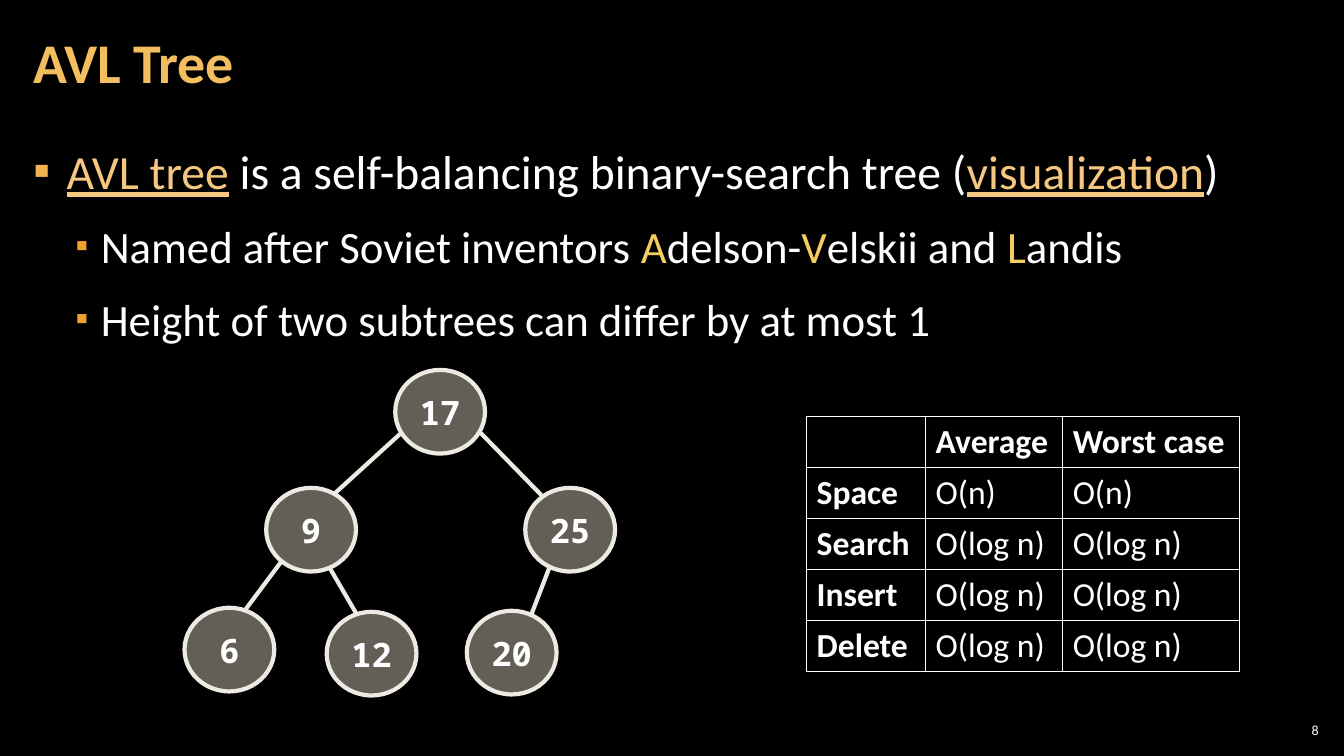
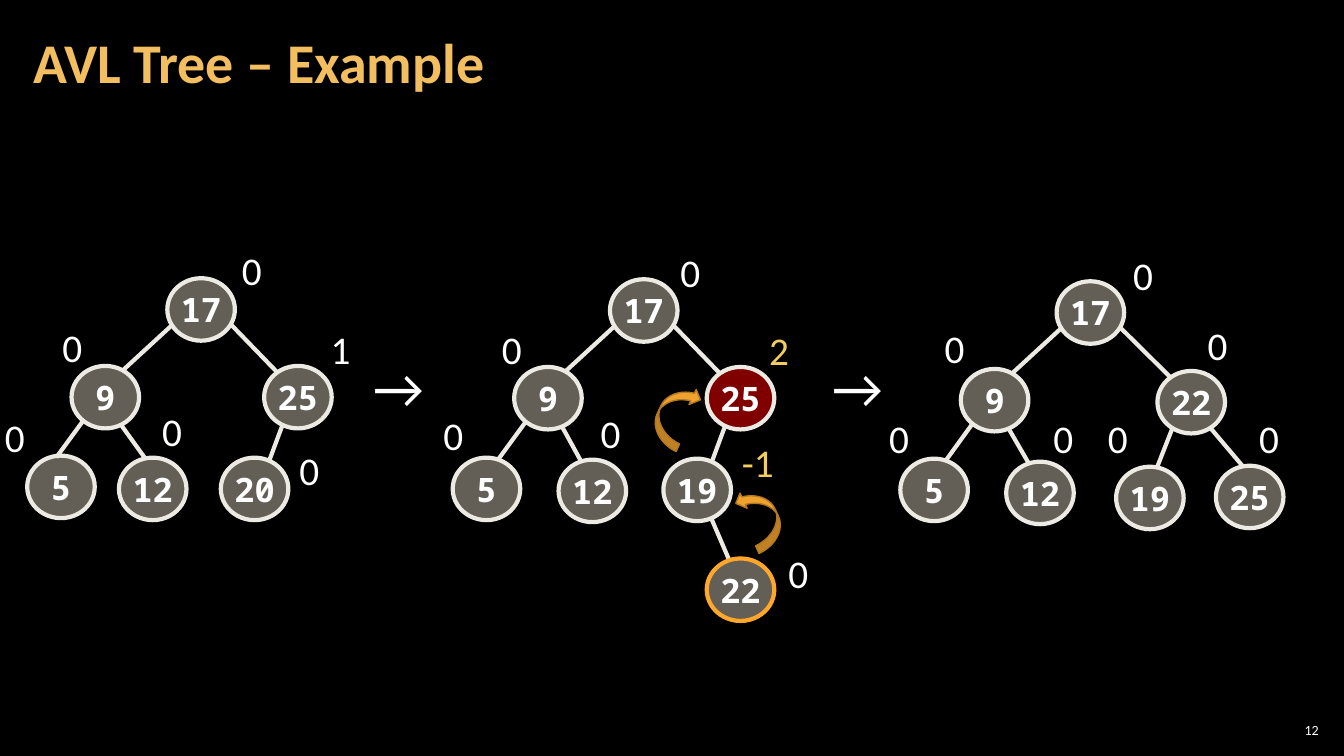
"""Build two slides that explain AVL trees and show a rebalancing example."""
from dataclasses import dataclass

from lxml import etree
from pptx import Presentation
from pptx.dml.color import RGBColor
from pptx.enum.shapes import MSO_CONNECTOR as Connector, MSO_SHAPE as Shape
from pptx.enum.text import MSO_ANCHOR as Anchor, MSO_AUTO_SIZE as AutoSize, PP_ALIGN as Align
from pptx.oxml.ns import qn
from pptx.util import Inches, Pt


@dataclass(frozen=True)
class Theme:
    background: str = "000000"
    text: str = "FFFFFF"
    title: str = "F3BE60"
    link: str = "F6C781"
    accent: str = "F3CD60"
    bullet: str = "F2B254"
    sub_bullet: str = "F0A22E"
    node: str = "C7BFAC"
    edge: str = "ECEAE3"
    unbalanced: str = "FF0000"
    inserted: str = "FFA72A"
    turn: str = "F0A22E"
    turn_line: str = "B27822"
    font: str = "Calibri"
    mono: str = "Noto Sans Mono"
    title_size: int = 40
    body_size: int = 34
    sub_size: int = 32
    label_size: int = 28
    node_size: int = 24
    table_size: int = 24
    number_size: int = 10
    edge_width: int = 3


THEME = Theme()

BODY = [
    (0, [("AVL tree", "link"), (" is a self-balancing binary-search tree (", "text"),
         ("visualization", "link"), (")", "text")]),
    (1, [("Named after Soviet inventors ", "text"), ("A", "accent"), ("delson-", "text"),
         ("V", "accent"), ("elskii and ", "text"), ("L", "accent"), ("andis", "text")]),
    (1, [("Height of two subtrees can differ by at most 1", "text")]),
]
BULLET_LEVELS = [
    dict(left=0.33, hang=0.33, size=THEME.body_size, color=THEME.bullet, percent=100),
    dict(left=0.67, hang=0.25, size=THEME.sub_size, color=THEME.sub_bullet, percent=80),
]

COSTS = [
    ("", "Average", "Worst case"),
    ("Space", "O(n)", "O(n)"),
    ("Search", "O(log n)", "O(log n)"),
    ("Insert", "O(log n)", "O(log n)"),
    ("Delete", "O(log n)", "O(log n)"),
]
COST_COLUMNS = (1.18, 1.36, 1.75)
COST_ROW = 0.5

# Edge ends are fractions of the node size, measured from the node centres.
JOINS = {
    "wide left": ((-0.43, 0.25), (0.25, -0.42)),
    "wide right": ((0.44, 0.24), (-0.3, -0.39)),
    "left": ((-0.33, 0.38), (0.18, -0.48)),
    "right": ((0.21, 0.46), (-0.17, -0.48)),
    "inner": ((-0.23, 0.45), (0.21, -0.43)),
    "near left": ((-0.33, 0.38), (-0.07, -0.47)),
    "near right": ((0.23, 0.44), (-0.1, -0.47)),
    "steep left": ((-0.28, 0.42), (0.11, -0.5)),
    "steep right": ((0.29, 0.42), (-0.11, -0.5)),
}
TOP_EDGES = [("17", "9", "wide left")]

OVERVIEW_TREE = dict(
    node=(0.89, 0.83),
    places={"17": (3.92, 3.67), "25": (5.21, 4.84), "9": (2.64, 4.84),
            "6": (1.83, 6.03), "12": (3.24, 6.07), "20": (4.63, 6.06)},
    edges=TOP_EDGES + [("17", "25", "wide right"), ("9", "6", "left"),
                       ("9", "12", "right"), ("25", "20", "inner")],
)
SMALL_NODE = (0.67, 0.62)
EXAMPLE_TREES = [
    dict(
        node=SMALL_NODE,
        places={"17": (1.66, 2.76), "25": (2.62, 3.63), "9": (0.71, 3.63),
                "5": (0.27, 4.52), "12": (1.18, 4.54), "20": (2.19, 4.54)},
        edges=TOP_EDGES + [("17", "25", "wide right"), ("9", "5", "near left"),
                           ("9", "12", "near right"), ("25", "20", "inner")],
        balances=[("0", 2.3, 2.39), ("0", 0.52, 3.16), ("1", 3.18, 3.18),
                  ("0", -0.05, 4.05), ("0", 1.51, 3.99), ("0", 2.87, 4.38)],
    ),
    dict(
        node=SMALL_NODE,
        places={"17": (6.05, 2.77), "25": (7.01, 3.64), "9": (5.1, 3.64), "5": (4.49, 4.54),
                "12": (5.54, 4.56), "19": (6.58, 4.55), "22": (7.01, 5.54)},
        edges=TOP_EDGES + [("17", "25", "wide right"), ("9", "5", "left"), ("9", "12", "right"),
                           ("25", "19", "inner"), ("19", "22", "right")],
        fills={"25": THEME.unbalanced},
        outlines={"22": THEME.inserted},
        turns=[(Shape.CURVED_UP_ARROW, 7.23, 4.97, 0.63, 245),
               (Shape.CURVED_DOWN_ARROW, 6.37, 3.95, 0.65, 295.3)],
        balances=[("0", 6.65, 2.41), ("0", 4.88, 3.18), ("2", 7.53, 3.19), ("0", 4.3, 4.03),
                  ("0", 5.86, 4.01), ("-1", 7.26, 4.3), ("0", 7.72, 5.4)],
    ),
    dict(
        node=SMALL_NODE,
        places={"17": (10.48, 2.79), "22": (11.48, 3.68), "9": (9.53, 3.66), "5": (8.93, 4.55),
                "12": (9.98, 4.58), "19": (11.07, 4.63), "25": (12.06, 4.62)},
        edges=TOP_EDGES + [("17", "22", "wide right"), ("9", "5", "left"), ("9", "12", "right"),
                           ("22", "19", "steep left"), ("22", "25", "steep right")],
        balances=[("0", 11.14, 2.44), ("0", 9.27, 3.17), ("0", 11.88, 3.14), ("0", 8.72, 4.06),
                  ("0", 10.35, 4.06), ("0", 10.89, 4.06), ("0", 12.39, 4.06)],
    ),
]
STEP_ARROWS = (3.61, 8.16)


def rgb(value):
    return RGBColor.from_string(value)


def add_child(parent, tag, **attributes):
    return etree.SubElement(parent, qn(tag), attributes)


def box(*lengths):
    return [Inches(length) for length in lengths]


def add_run(paragraph, text, size, color=THEME.text, bold=False, font=THEME.font, underline=False):
    run = paragraph.add_run()
    run.text = text
    run.font.size, run.font.name = Pt(size), font
    run.font.bold, run.font.underline = bold, underline
    run.font.color.rgb = rgb(color)


def place(shape, left, top, width, height):
    shape.left, shape.top, shape.width, shape.height = box(left, top, width, height)


def set_frame(frame, side, edge, anchor):
    frame.word_wrap, frame.auto_size = True, AutoSize.NONE
    frame.vertical_anchor = anchor
    frame.margin_left = frame.margin_right = Inches(side)
    frame.margin_top = frame.margin_bottom = Inches(edge)


def add_slide(presentation, layout, title, number):
    slide = presentation.slides.add_slide(presentation.slide_layouts[layout])
    heading = slide.shapes.title
    place(heading, 0.21, 0.04, 10.47, 1.21)
    set_frame(heading.text_frame, 0.12, 0.04, Anchor.MIDDLE)
    paragraph = heading.text_frame.paragraphs[0]
    paragraph.alignment, paragraph.line_spacing = Align.LEFT, 0.9
    add_run(paragraph, title, THEME.title_size, THEME.title, bold=True)
    footer = slide.shapes.add_textbox(*box(12.65, 7.14, 0.47, 0.21)).text_frame
    set_frame(footer, 0.04, 0.04, Anchor.MIDDLE)
    footer.paragraphs[0].alignment = Align.RIGHT
    add_run(footer.paragraphs[0], number, THEME.number_size)
    return slide


def add_body(slide):
    body = slide.placeholders[1]
    place(body, 0.21, 1.34, 12.91, 6)
    frame = body.text_frame
    set_frame(frame, 0.12, 0.04, Anchor.TOP)
    for index, (level, runs) in enumerate(BODY):
        style = BULLET_LEVELS[level]
        paragraph = frame.add_paragraph() if index else frame.paragraphs[0]
        paragraph.level = level
        properties = paragraph._p.get_or_add_pPr()
        properties.set("marL", str(Inches(style["left"])))
        properties.set("indent", str(-Inches(style["hang"])))
        add_child(add_child(properties, "a:buClr"), "a:srgbClr", val=style["color"])
        add_child(properties, "a:buSzPct", val=str(style["percent"] * 1000))
        add_child(properties, "a:buFont", typeface=THEME.font)
        add_child(properties, "a:buChar", char="▪")
        paragraph.line_spacing = 1.05
        paragraph.space_before, paragraph.space_after = Pt(6 if index else 0), Pt(6)
        for text, role in runs:
            add_run(paragraph, text, style["size"], getattr(THEME, role), underline=role == "link")


def add_costs(slide):
    size = box(8, 4.13, sum(COST_COLUMNS), COST_ROW * len(COSTS))
    table = slide.shapes.add_table(len(COSTS), len(COST_COLUMNS), *size).table
    table.first_row = table.horz_banding = False
    for column, width in zip(table.columns, COST_COLUMNS):
        column.width = Inches(width)
    for row, texts in enumerate(COSTS):
        for column, text in enumerate(texts):
            cell = table.cell(row, column)
            properties = cell._tc.get_or_add_tcPr()
            for side in ("a:lnL", "a:lnR", "a:lnT", "a:lnB"):
                border = add_child(properties, side, w=str(Pt(1)))
                add_child(add_child(border, "a:solidFill"), "a:srgbClr", val=THEME.text)
            cell.fill.background()
            if text:
                add_run(cell.text_frame.paragraphs[0], text, THEME.table_size,
                        bold=row == 0 or column == 0)


def add_edge(shapes, start, end):
    edge = shapes.add_connector(Connector.STRAIGHT, *box(*start, *end))
    edge.line.color.rgb, edge.line.width = rgb(THEME.edge), Pt(THEME.edge_width)
    add_child(edge._element.spPr, "a:effectLst")


def add_filled(shapes, kind, bounds, fill, outline, width):
    shape = shapes.add_shape(kind, *box(*bounds))
    shape.shadow.inherit = False
    shape.fill.solid()
    shape.fill.fore_color.rgb = rgb(fill)
    shape.line.color.rgb, shape.line.width = rgb(outline), Pt(width)
    return shape


def add_node(shapes, value, bounds, fill, outline):
    node = add_filled(shapes, Shape.OVAL, bounds, fill, outline, THEME.edge_width)
    color = node._element.spPr.find(qn("a:solidFill")).find(qn("a:srgbClr"))
    add_child(color, "a:alpha", val="50000")
    frame = node.text_frame
    frame.word_wrap, frame.vertical_anchor = False, Anchor.MIDDLE
    frame.paragraphs[0].alignment = Align.CENTER
    add_run(frame.paragraphs[0], value, THEME.node_size, bold=True, font=THEME.mono)


def add_label(shapes, text, bounds, size, color=THEME.text, wrap=True):
    frame = shapes.add_textbox(*box(*bounds)).text_frame
    frame.word_wrap, frame.auto_size = wrap, AutoSize.SHAPE_TO_FIT_TEXT
    add_run(frame.paragraphs[0], text, size, color)


def add_tree(slide, tree):
    shapes = slide.shapes.add_group_shape().shapes
    size, places = tree["node"], tree["places"]

    def end_point(value, fractions):
        return [start + length * (0.5 + fraction)
                for start, length, fraction in zip(places[value], size, fractions)]

    for parent, child, join in tree["edges"]:
        leave, arrive = JOINS[join]
        add_edge(shapes, end_point(parent, leave), end_point(child, arrive))
    for value, corner in places.items():
        add_node(shapes, value, (*corner, *size), tree.get("fills", {}).get(value, THEME.node),
                 tree.get("outlines", {}).get(value, THEME.edge))
    for kind, left, top, width, angle in tree.get("turns", []):
        turn = add_filled(shapes, kind, (left, top, width, 0.33), THEME.turn, THEME.turn_line, 1)
        turn.rotation = angle
    for text, left, top in tree.get("balances", []):
        color = THEME.accent if text in ("2", "-1") else THEME.text
        width = 0.44 if len(text) == 1 else 0.6
        add_label(shapes, text, (left, top, width, 0.57), THEME.label_size, color)


def main():
    presentation = Presentation()
    presentation.slide_width, presentation.slide_height = box(13.33, 7.5)
    backdrop = presentation.slide_master.background.fill
    backdrop.solid()
    backdrop.fore_color.rgb = rgb(THEME.background)

    overview = add_slide(presentation, 1, "AVL Tree", "8")
    add_body(overview)
    add_costs(overview)
    add_tree(overview, OVERVIEW_TREE)

    example = add_slide(presentation, 5, "AVL Tree – Example", "12")
    for left in STEP_ARROWS:
        add_label(example.shapes, "→", (left, 3.45, 0.75, 0.77), THEME.title_size, wrap=False)
    for tree in EXAMPLE_TREES:
        add_tree(example, tree)
    presentation.save("out.pptx")


if __name__ == "__main__":
    main()
